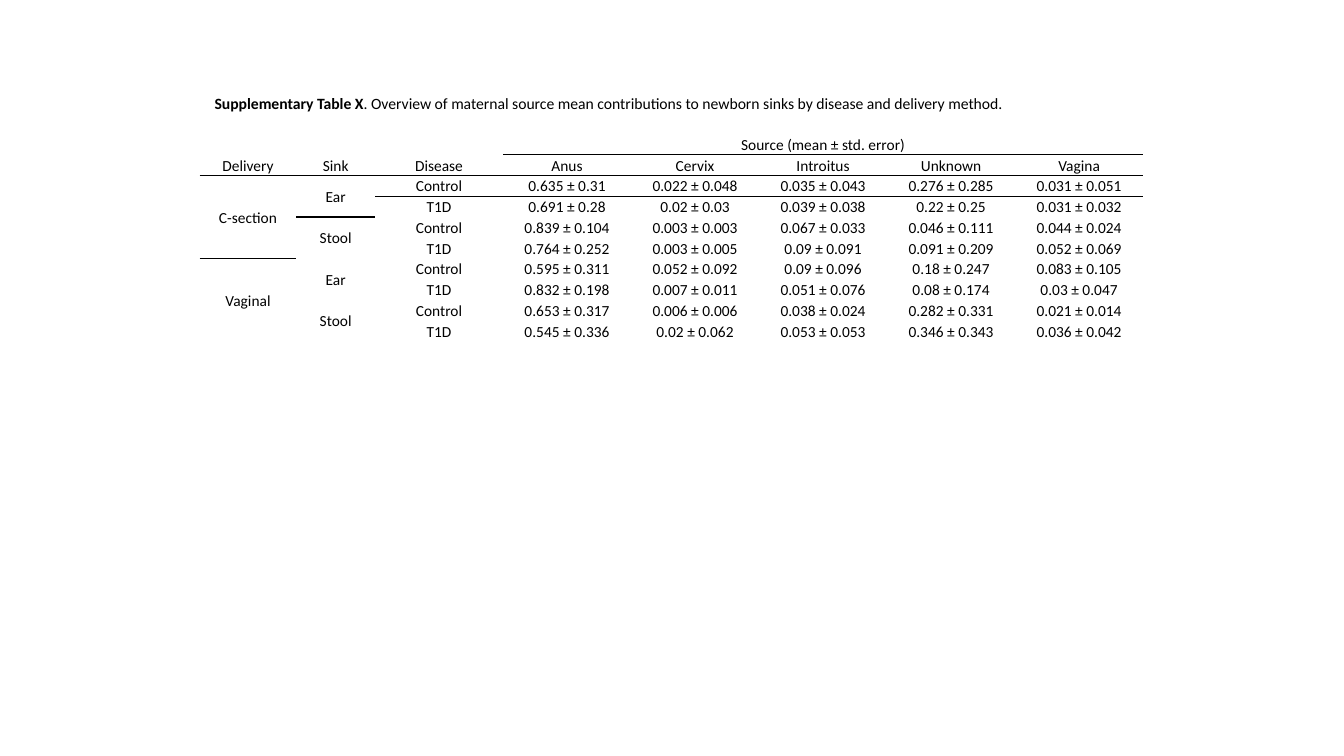
import lxml.etree
import pptx
import pptx.dml.color
import pptx.enum.text
import pptx.oxml.ns
import pptx.util

Inches = pptx.util.Inches
Pt = pptx.util.Pt
qn = pptx.oxml.ns.qn
ALIGN = pptx.enum.text.PP_ALIGN
ANCHOR = pptx.enum.text.MSO_ANCHOR

COLORS = {"ink": "000000"}
FONT = "Calibri"
TABLE_SIZE = 11
LINE_SPACING = 1.07
PLAIN_TABLE_STYLE = "{2D5ABB26-0587-4C30-8999-92F81FD0307C}"

CAPTION = [
    ("Supplementary Table X", True),
    (". Overview of maternal source mean contributions to newborn sinks"
     " by disease and delivery method.", False),
]
SOURCE_HEADING = "Source (mean ± std. error)"
HEADINGS = ["Delivery", "Sink", "Disease", "Anus", "Cervix", "Introitus", "Unknown", "Vagina"]
DELIVERIES = ["C-section", "Vaginal"]
SINKS = ["Ear", "Stool"]
DISEASES = ["Control", "T1D"]
CONTRIBUTIONS = [
    ["0.635 ± 0.31", "0.022 ± 0.048", "0.035 ± 0.043", "0.276 ± 0.285", "0.031 ± 0.051"],
    ["0.691 ± 0.28", "0.02 ± 0.03", "0.039 ± 0.038", "0.22 ± 0.25", "0.031 ± 0.032"],
    ["0.839 ± 0.104", "0.003 ± 0.003", "0.067 ± 0.033", "0.046 ± 0.111", "0.044 ± 0.024"],
    ["0.764 ± 0.252", "0.003 ± 0.005", "0.09 ± 0.091", "0.091 ± 0.209", "0.052 ± 0.069"],
    ["0.595 ± 0.311", "0.052 ± 0.092", "0.09 ± 0.096", "0.18 ± 0.247", "0.083 ± 0.105"],
    ["0.832 ± 0.198", "0.007 ± 0.011", "0.051 ± 0.076", "0.08 ± 0.174", "0.03 ± 0.047"],
    ["0.653 ± 0.317", "0.006 ± 0.006", "0.038 ± 0.024", "0.282 ± 0.331", "0.021 ± 0.014"],
    ["0.545 ± 0.336", "0.02 ± 0.062", "0.053 ± 0.053", "0.346 ± 0.343", "0.036 ± 0.042"],
]
COLUMN_WIDTHS = [0.96, 0.78] + [1.27] * 6
FIRST_SOURCE = 3
FIRST_BODY = 2


def add_span(para, text, size, bold=False):
    span = para.add_run()
    span.text = text
    span.font.name = FONT
    span.font.size = Pt(size)
    span.font.bold = bold
    span.font.color.rgb = pptx.dml.color.RGBColor.from_string(COLORS["ink"])


def add_caption(page, left, top, width, height):
    box = page.shapes.add_textbox(Inches(left), Inches(top), Inches(width), Inches(height))
    box.text_frame.word_wrap = True
    box.text_frame.auto_size = pptx.enum.text.MSO_AUTO_SIZE.SHAPE_TO_FIT_TEXT
    para = box.text_frame.paragraphs[0]
    para.line_spacing = LINE_SPACING
    para.space_after = Pt(5)
    for text, bold in CAPTION:
        add_span(para, text, 11.2, bold)


def prepare_cell(cell):
    cell.fill.background()
    cell.margin_left = cell.margin_right = Inches(0.05)
    cell.margin_top = cell.margin_bottom = 0
    cell.vertical_anchor = ANCHOR.MIDDLE
    para = cell.text_frame.paragraphs[0]
    para.alignment = ALIGN.CENTER
    para.line_spacing = LINE_SPACING
    ending = lxml.etree.SubElement(para._p, qn("a:endParaRPr"))
    ending.set("sz", str(TABLE_SIZE * 100))


def write_cell(cell, text):
    add_span(cell.text_frame.paragraphs[0], text, TABLE_SIZE)


def rule_edge(cell, edge):
    properties = cell._tc.get_or_add_tcPr()
    line = lxml.etree.Element(qn("a:" + edge), w=str(Pt(1)))
    fill = lxml.etree.SubElement(line, qn("a:solidFill"))
    lxml.etree.SubElement(fill, qn("a:srgbClr"), val=COLORS["ink"])
    properties.insert(0, line)


def write_group(table, row, column, count, text):
    write_cell(table.cell(row, column), text)
    table.cell(row, column).merge(table.cell(row + count - 1, column))


def add_contributions(page, left, top, width, height):
    row_count = FIRST_BODY + len(CONTRIBUTIONS)
    frame = page.shapes.add_table(row_count, len(HEADINGS), Inches(left), Inches(top),
                                  Inches(width), Inches(height))
    table = frame.table
    table.first_row = table.horz_banding = False
    next(frame.element.iter(qn("a:tableStyleId"))).text = PLAIN_TABLE_STYLE
    for column, column_width in zip(table.columns, COLUMN_WIDTHS):
        column.width = Inches(column_width)
    for row in table.rows:
        row.height = Inches(height / row_count)
        for cell in row.cells:
            prepare_cell(cell)

    last_column = len(HEADINGS) - 1
    source_cell = table.cell(0, FIRST_SOURCE)
    source_cell.vertical_anchor = ANCHOR.BOTTOM
    write_cell(source_cell, SOURCE_HEADING)
    source_cell.merge(table.cell(0, last_column))
    for column, heading in enumerate(HEADINGS):
        cell = table.cell(1, column)
        write_cell(cell, heading)
        rule_edge(cell, "lnB")
        rule_edge(table.cell(FIRST_BODY, column), "lnT")
        if column >= FIRST_SOURCE:
            rule_edge(table.cell(0, column), "lnB")
            rule_edge(cell, "lnT")
    table.cell(1, 0).vertical_anchor = ANCHOR.BOTTOM

    sink_rows = len(DISEASES)
    delivery_rows = len(SINKS) * sink_rows
    for index, values in enumerate(CONTRIBUTIONS):
        row = FIRST_BODY + index
        if index % delivery_rows == 0:
            write_group(table, row, 0, delivery_rows, DELIVERIES[index // delivery_rows])
        if index % sink_rows == 0:
            write_group(table, row, 1, sink_rows, SINKS[index // sink_rows % len(SINKS)])
        for column, text in enumerate([DISEASES[index % sink_rows]] + values, start=2):
            write_cell(table.cell(row, column), text)


def main():
    deck = pptx.Presentation()
    deck.slide_width = Inches(13.33)
    deck.slide_height = Inches(7.5)
    page = deck.slides.add_slide(deck.slide_layouts[6])
    add_contributions(page, 1.98, 1.33, sum(COLUMN_WIDTHS), 2.06)
    add_caption(page, 2.03, 0.87, 9.27, 0.29)
    deck.save("out.pptx")


if __name__ == "__main__":
    main()
